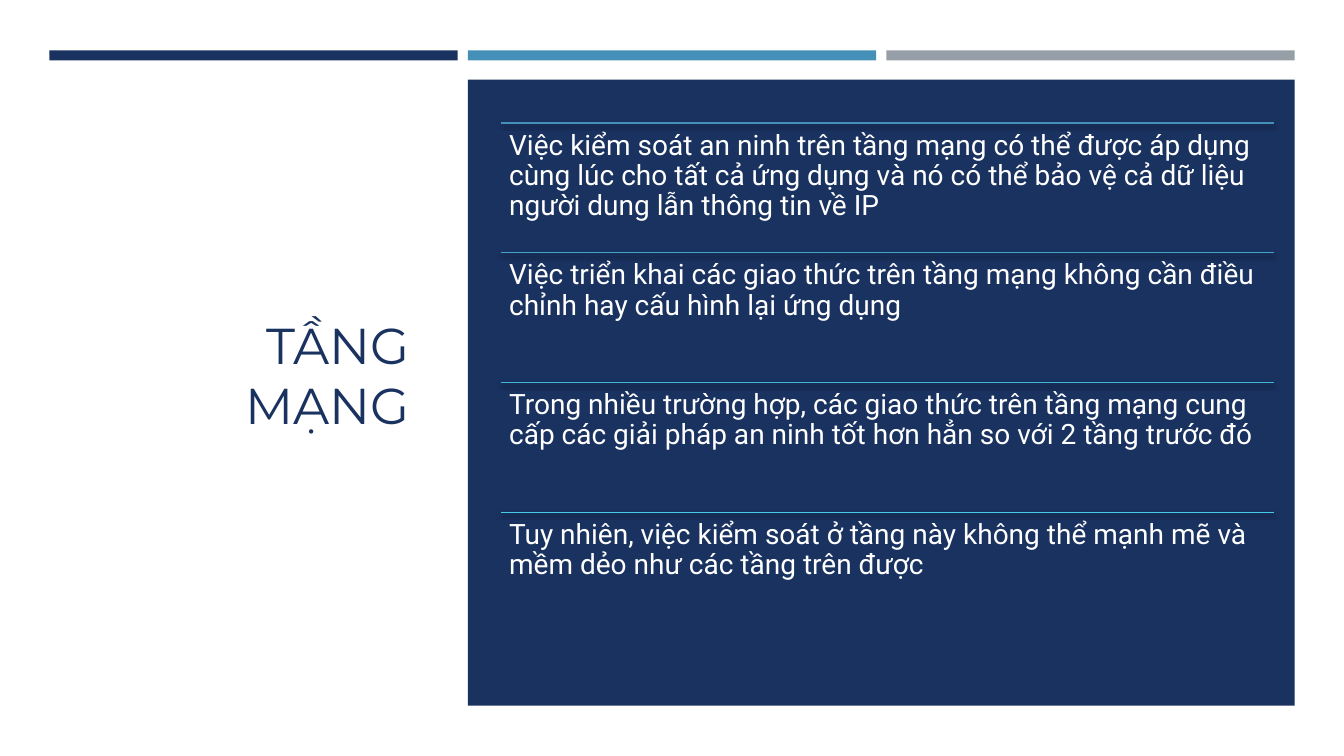
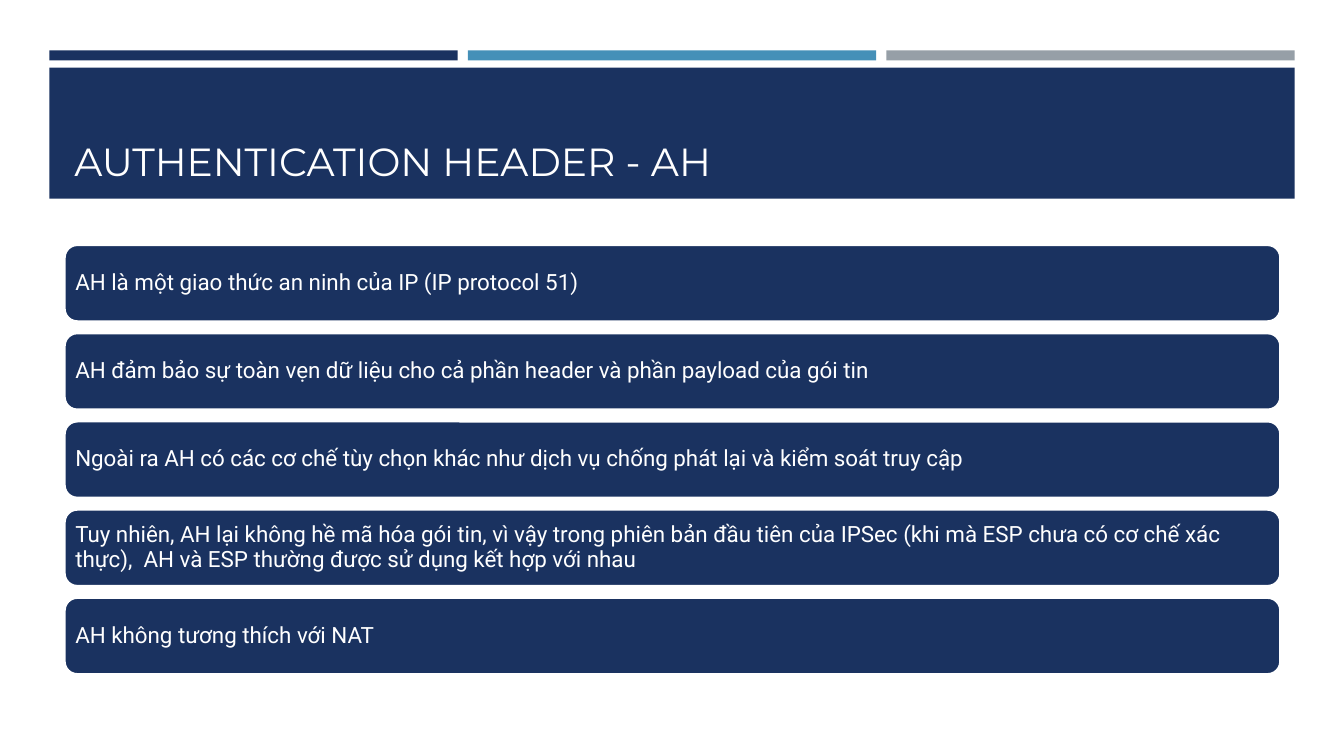
from dataclasses import dataclass

from lxml.etree import SubElement
from pptx import Presentation
from pptx.dml.color import RGBColor
from pptx.enum.shapes import MSO_CONNECTOR, MSO_SHAPE
from pptx.enum.text import MSO_ANCHOR, PP_ALIGN
from pptx.oxml.ns import qn
from pptx.util import Inches, Pt


@dataclass(frozen=True)
class Theme:
    navy: str = "1A3260"
    blue: str = "4590B8"
    grey: str = "969FA7"
    white: str = "FFFFFF"
    rules: tuple = ("4590B8", "43A3CA", "43B7DA", "45CBE8")
    title_font: str = "Montserrat"
    body_font: str = "Roboto"
    side_title: int = 36
    band_title: int = 28
    point: int = 20
    card: int = 16


theme = Theme()

# Three-column grid, in inches
LEFT, COLUMN, GUTTER = 0.49, 4.05, 0.1
columns = [LEFT + index * (COLUMN + GUTTER) for index in range(3)]
right_edge = columns[2] + COLUMN


def add_block(page, left, top, width, height, fill, shape=MSO_SHAPE.RECTANGLE, outline=None):
    block = page.shapes.add_shape(shape, Inches(left), Inches(top), Inches(width), Inches(height))
    block.shadow.inherit = False
    block.fill.solid()
    block.fill.fore_color.rgb = RGBColor.from_string(fill)
    if outline:
        block.line.color.rgb = RGBColor.from_string(outline)
        block.line.width = Pt(1.75)
    else:
        block.line.fill.background()
    return block


def write(box, text, *, size, font=theme.body_font, color=theme.white, align=PP_ALIGN.LEFT,
          anchor=MSO_ANCHOR.TOP, spacing=0.9, margins=(0.08, 0.08)):
    """Fill a box with one paragraph; margins are (horizontal, vertical) in inches."""
    frame = box.text_frame
    frame.word_wrap = True
    frame.vertical_anchor = anchor
    frame.margin_left = frame.margin_right = Inches(margins[0])
    frame.margin_top = frame.margin_bottom = Inches(margins[1])
    para = frame.paragraphs[0]
    para.alignment = align
    para.line_spacing = spacing
    span = para.add_run()
    span.text = text
    span.font.size = Pt(size)
    span.font.name = font
    span.font.color.rgb = RGBColor.from_string(color)


deck = Presentation()
deck.slide_width, deck.slide_height = Inches(13.33), Inches(7.5)
blank = deck.slide_layouts[6]
pages = [deck.slides.add_slide(blank) for _ in range(2)]
for page in pages:
    for left, color in zip(columns, (theme.navy, theme.blue, theme.grey)):
        add_block(page, left, 0.5, COLUMN, 0.1, color)

title_style = dict(font=theme.title_font, spacing=1.0, margins=(0.1, 0.05))
network_page, header_page = pages

# Network layer: side title, panel and ruled points
title = network_page.shapes.add_textbox(Inches(0.82), Inches(1.14), Inches(3.34), Inches(5.15))
write(title, "TẦNG MẠNG", size=theme.side_title, color=theme.navy, align=PP_ALIGN.RIGHT,
      anchor=MSO_ANCHOR.MIDDLE, **title_style)
add_block(network_page, columns[1], 0.79, right_edge - columns[1], 6.21, theme.navy)

points = [
    "Việc kiểm soát an ninh trên tầng mạng có thể được áp dụng cùng lúc cho tất cả ứng dụng "
    "và nó có thể bảo vệ cả dữ liệu người dung lẫn thông tin về IP",
    "Việc triển khai các giao thức trên tầng mạng không cần điều chỉnh hay cấu hình lại ứng dụng",
    "Trong nhiều trường hợp, các giao thức trên tầng mạng cung cấp các giải pháp an ninh "
    "tốt hơn hẳn so với 2 tầng trước đó",
    "Tuy nhiên, việc kiểm soát ở tầng này không thể mạnh mẽ và mềm dẻo như các tầng trên được",
]
points_left, points_top, points_width = 4.97, 1.22, 7.67
row_height = 5.15 / len(points)
for row, (point, color) in enumerate(zip(points, theme.rules)):
    top = points_top + row * row_height
    rule = network_page.shapes.add_connector(
        MSO_CONNECTOR.STRAIGHT, Inches(points_left), Inches(top),
        Inches(points_left + points_width), Inches(top))
    rule.line.color.rgb = RGBColor.from_string(color)
    rule.line.width = Pt(1)
    effects = SubElement(rule.element.spPr, qn("a:effectLst"))
    shadow = SubElement(effects, qn("a:outerShdw"), blurRad=str(Pt(3)), dist=str(Pt(2)),
                        dir="5400000", rotWithShape="0")
    shade = SubElement(shadow, qn("a:srgbClr"), val="000000")
    SubElement(shade, qn("a:alpha"), val="55000")
    box = network_page.shapes.add_textbox(
        Inches(points_left), Inches(top), Inches(points_width), Inches(row_height))
    write(box, point, size=theme.point)

# Authentication header: title band and stacked cards
add_block(header_page, LEFT, 0.67, right_edge - LEFT, 1.3, theme.navy)
card_left, card_width = 0.64, 12.06
title = header_page.shapes.add_textbox(
    Inches(card_left), Inches(0.77), Inches(card_width), Inches(1.11))
write(title, "AUTHENTICATION HEADER - AH", size=theme.band_title,
      anchor=MSO_ANCHOR.BOTTOM, **title_style)

cards = [
    "AH là một giao thức an ninh của IP (IP protocol 51)",
    "AH đảm bảo sự toàn vẹn dữ liệu cho cả phần header và phần payload của gói tin",
    "Ngoài ra AH có các cơ chế tùy chọn khác như dịch vụ chống phát lại và kiểm soát truy cập",
    "Tuy nhiên, AH lại không hề mã hóa gói tin, vì vậy trong phiên bản đầu tiên của IPSec "
    "(khi mà ESP chưa có cơ chế xác thực),  AH và ESP thường được sử dụng kết hợp với nhau",
    "AH không tương thích với NAT",
]
card_top, card_height = 2.43, 0.76
card_pitch = 3.5 / (len(cards) - 1)
for row, text in enumerate(cards):
    card = add_block(header_page, card_left, card_top + row * card_pitch, card_width, card_height,
                     theme.navy, MSO_SHAPE.ROUNDED_RECTANGLE, outline=theme.white)
    write(card, text, size=theme.card, anchor=MSO_ANCHOR.MIDDLE, margins=(0.07, 0.07))

deck.save("out.pptx")
